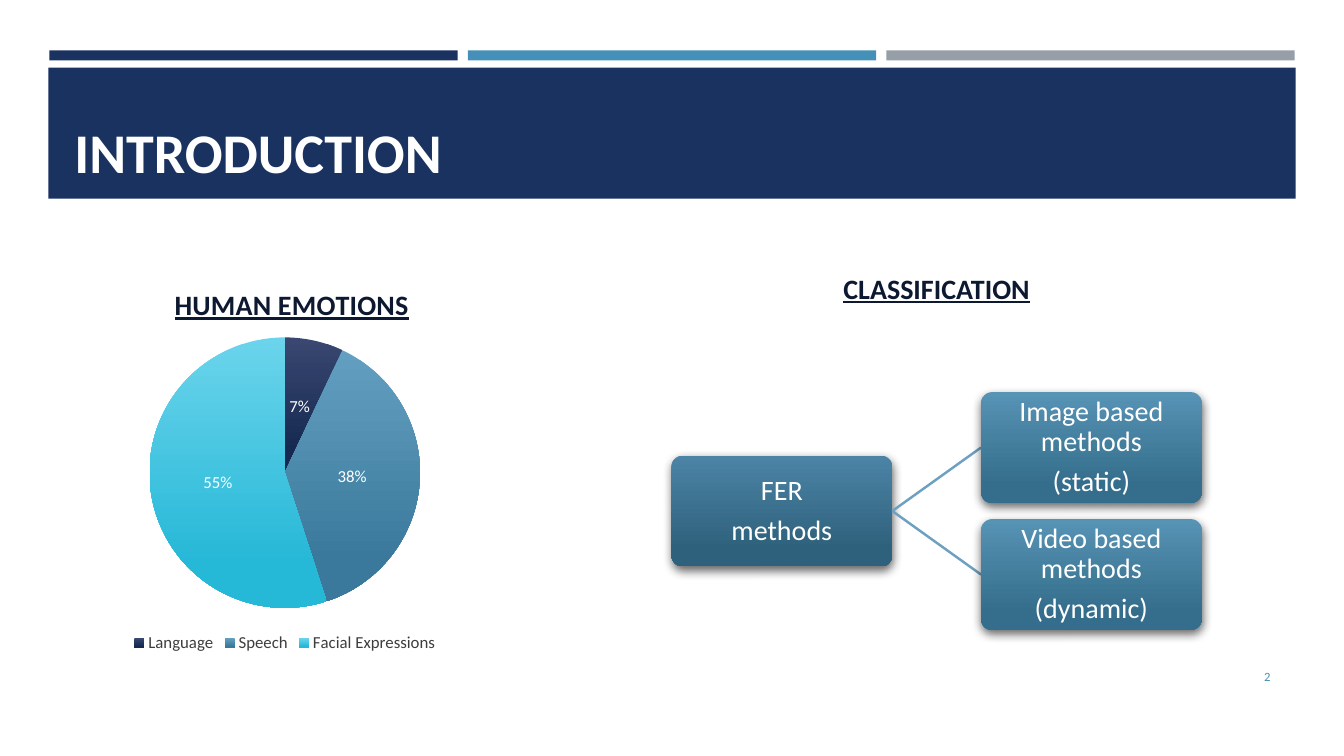
import pptx
import pptx.chart.data
import pptx.dml.color
import pptx.enum.chart
import pptx.enum.shapes
import pptx.enum.text
import pptx.oxml
import pptx.oxml.ns
import pptx.util
from dataclasses import dataclass

Inches = pptx.util.Inches
Pt = pptx.util.Pt
Align = pptx.enum.text.PP_ALIGN
Anchor = pptx.enum.text.MSO_ANCHOR
Shape = pptx.enum.shapes.MSO_SHAPE


@dataclass(frozen=True)
class Theme:
    font: str = "Calibri"
    navy: str = "1A3260"
    blue: str = "4590B8"
    gray: str = "969FA7"
    white: str = "FFFFFF"
    heading: str = "0D1930"
    legend: str = "3D3D3D"
    link: str = "6EA0C1"
    root_gradient: tuple = ("4C84A6", "2E617C")
    branch_gradient: tuple = ("5793B5", "356E8C")
    slice_gradients: tuple = (("394771", "162A51"), ("639FC1", "3A799B"), ("6BD4EC", "26B8D7"))
    title_size: int = 40
    body_size: int = 20
    chart_size: int = 12
    number_size: int = 9


def color(value):
    return pptx.dml.color.RGBColor.from_string(value)


class SlideBuilder:
    def __init__(self, slide, theme):
        self.slide = slide
        self.theme = theme

    def style_font(self, font, size, value, bold=False, underline=False):
        font.name = self.theme.font
        font.size = Pt(size)
        font.color.rgb = color(value)
        font.bold = bold
        font.underline = underline

    def fill_gradient(self, fill, colors):
        fill.gradient()
        fill.gradient_angle = 270
        for stop, value, position in zip(fill.gradient_stops, colors, (0, 0.84)):
            stop.color.rgb = color(value)
            stop.position = position

    def bar(self, left, top, width, height, value):
        shape = self.slide.shapes.add_shape(
            Shape.RECTANGLE, Inches(left), Inches(top), Inches(width), Inches(height))
        shape.shadow.inherit = False
        shape.fill.solid()
        shape.fill.fore_color.rgb = color(value)
        shape.line.fill.background()

    def text(self, box, text, size, value, align=Align.LEFT, anchor=Anchor.TOP, **style):
        shape = self.slide.shapes.add_textbox(*map(Inches, box))
        frame = shape.text_frame
        frame.word_wrap = True
        frame.vertical_anchor = anchor
        frame.text = text
        paragraph = frame.paragraphs[0]
        paragraph.alignment = align
        self.style_font(paragraph.runs[0].font, size, value, **style)

    def node(self, box, text, gradient):
        shape = self.slide.shapes.add_shape(Shape.ROUNDED_RECTANGLE, *map(Inches, box))
        shape.adjustments[0] = 0.1
        shape.line.fill.background()
        self.fill_gradient(shape.fill, gradient)
        self.drop_shadow(shape)
        frame = shape.text_frame
        frame.word_wrap = True
        frame.vertical_anchor = Anchor.MIDDLE
        frame.margin_left = frame.margin_right = Inches(0.04)
        frame.margin_top = frame.margin_bottom = Inches(0.04)
        frame.text = text
        for paragraph in frame.paragraphs:
            paragraph.alignment = Align.CENTER
            paragraph.line_spacing = 0.9
            paragraph.space_after = Pt(7)
            self.style_font(paragraph.runs[0].font, self.theme.body_size, self.theme.white)

    def drop_shadow(self, shape):
        shape.shadow.inherit = False
        effects = shape._element.spPr.find(pptx.oxml.ns.qn("a:effectLst"))
        effects.append(pptx.oxml.parse_xml(
            f'<a:outerShdw {pptx.oxml.ns.nsdecls("a")} blurRad="{Pt(7)}" dist="{Pt(3)}" '
            'dir="5040000" rotWithShape="0"><a:srgbClr val="000000">'
            '<a:alpha val="60000"/></a:srgbClr></a:outerShdw>'))

    def link(self, start, end):
        connector = self.slide.shapes.add_connector(
            pptx.enum.shapes.MSO_CONNECTOR.STRAIGHT, *map(Inches, start + end))
        connector.line.color.rgb = color(self.theme.link)
        connector.line.width = Pt(1.75)
        connector._element.spPr.append(pptx.oxml.parse_xml(
            f'<a:effectLst {pptx.oxml.ns.nsdecls("a")}/>'))

    def place(self, element, index, target="", **fractions):
        """Give a chart part a manual layout, in fractions of the chart."""
        old = element.find(pptx.oxml.ns.qn("c:layout"))
        if old is not None:
            element.remove(old)
        values = "".join(f'<c:{name} val="{value}"/>' for name, value in fractions.items())
        element.insert(index, pptx.oxml.parse_xml(
            f'<c:layout {pptx.oxml.ns.nsdecls("c")}><c:manualLayout>{target}'
            f'<c:xMode val="edge"/><c:yMode val="edge"/>{values}</c:manualLayout></c:layout>'))

    def pie(self, box, title, shares):
        theme = self.theme
        data = pptx.chart.data.CategoryChartData()
        data.categories = list(shares)
        data.add_series("Series 1", list(shares.values()))
        chart = self.slide.shapes.add_chart(
            pptx.enum.chart.XL_CHART_TYPE.PIE, *map(Inches, box), data).chart
        self.style_font(chart.font, theme.chart_size, theme.legend)

        # Title and plot area
        chart.has_title = True
        frame = chart.chart_title.text_frame
        frame.text = title
        self.style_font(frame.paragraphs[0].runs[0].font, theme.body_size, theme.heading,
                        bold=True, underline=True)
        self.place(chart.chart_title._element, 1, x=0.27, y=0.06)
        plot_area = chart._chartSpace.find(".//" + pptx.oxml.ns.qn("c:plotArea"))
        self.place(plot_area, 0, '<c:layoutTarget val="inner"/>', x=0.23, y=0.2, w=0.54, h=0.68)

        # Legend
        chart.has_legend = True
        chart.legend.position = pptx.enum.chart.XL_LEGEND_POSITION.BOTTOM
        chart.legend.include_in_layout = False
        self.style_font(chart.legend.font, theme.chart_size, theme.legend)

        # Slices and their labels
        plot = chart.plots[0]
        plot.vary_by_categories = True
        for index, gradient in enumerate(theme.slice_gradients):
            slice_format = plot.series[0].points[index].format
            self.fill_gradient(slice_format.fill, gradient)
            slice_format.line.fill.background()
        plot.has_data_labels = True
        labels = plot.data_labels
        labels.show_percentage = True
        labels.show_value = False
        labels.number_format = "0%"
        labels.number_format_is_linked = False
        labels.position = pptx.enum.chart.XL_LABEL_POSITION.CENTER
        self.style_font(labels.font, theme.chart_size, theme.white)


def main():
    presentation = pptx.Presentation()
    presentation.slide_width = Inches(13.33)
    presentation.slide_height = Inches(7.5)
    theme = Theme()
    builder = SlideBuilder(presentation.slides.add_slide(presentation.slide_layouts[6]), theme)

    # Header
    for column, value in enumerate((theme.navy, theme.blue, theme.gray)):
        builder.bar(0.49 + 4.15 * column, 0.5, 4.05, 0.1, value)
    builder.bar(0.48, 0.67, 12.37, 1.3, theme.navy)
    builder.text((0.64, 0.77, 12.06, 1.11), "INTRODUCTION", theme.title_size, theme.white,
                 anchor=Anchor.BOTTOM, bold=True)

    # Human emotions
    builder.pie((0.34, 2.54, 4.97, 3.98), "HUMAN EMOTIONS",
                {"Language": 7, "Speech": 38, "Facial Expressions": 55})

    # Classification tree
    builder.text((7.33, 2.64, 3.92, 0.44), "CLASSIFICATION", theme.body_size, theme.heading,
                 align=Align.CENTER, bold=True, underline=True)
    width, height = 2.19, 1.1
    root_left, root_top, branch_left = 6.66, 4.52, 9.73
    builder.node((root_left, root_top, width, height), "FER\nmethods", theme.root_gradient)
    branches = ("Image based methods\n(static)", "Video based methods\n(dynamic)")
    for row, text in enumerate(branches):
        top = 3.89 + 1.26 * row
        builder.link((root_left + width, root_top + height / 2), (branch_left, top + height / 2))
        builder.node((branch_left, top, width, height), text, theme.branch_gradient)

    # Slide number
    builder.text((11.55, 6.51, 1.15, 0.4), "2", theme.number_size, theme.blue,
                 align=Align.RIGHT, anchor=Anchor.MIDDLE)
    presentation.save("out.pptx")


if __name__ == "__main__":
    main()
